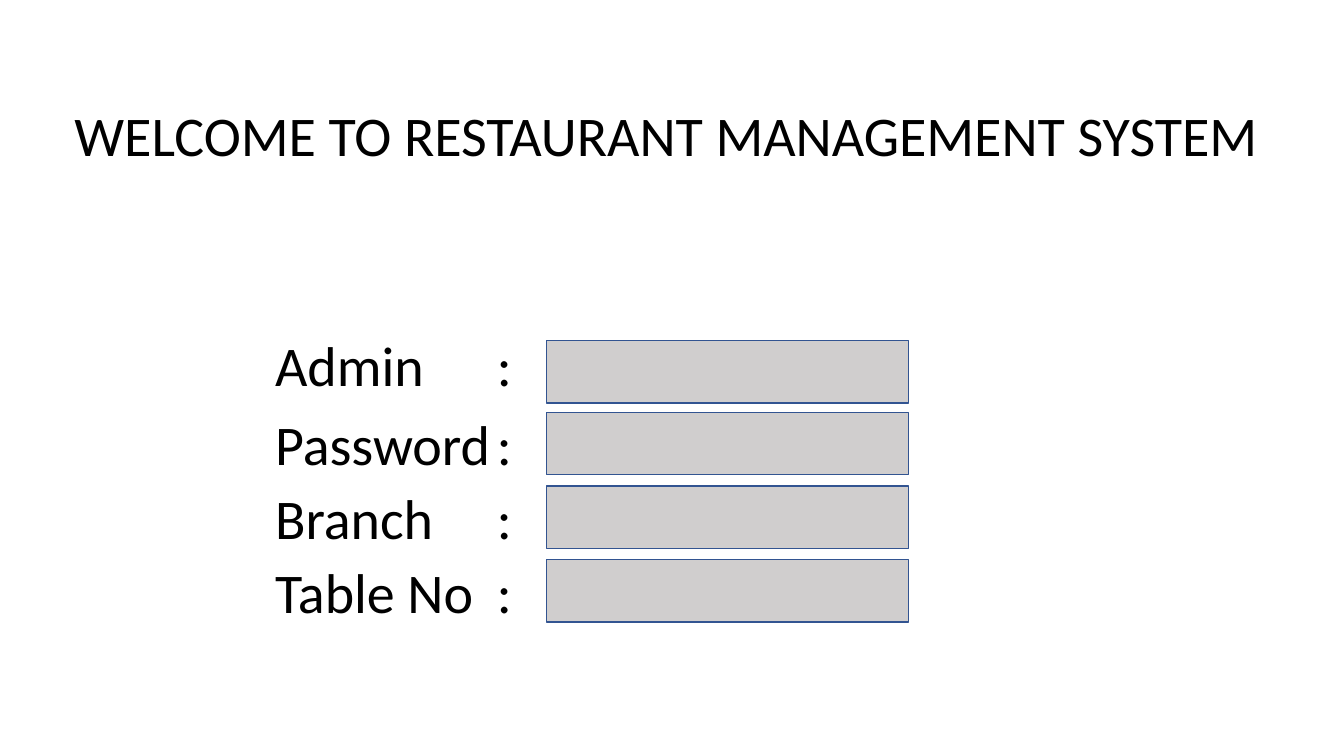
from dataclasses import dataclass

from lxml import etree
from pptx import Presentation
from pptx.dml.color import RGBColor
from pptx.enum.shapes import MSO_SHAPE
from pptx.enum.text import MSO_AUTO_SIZE
from pptx.oxml.ns import qn
from pptx.util import Pt

RECT = MSO_SHAPE.RECTANGLE
GROW = MSO_AUTO_SIZE.SHAPE_TO_FIT_TEXT
PX = 9144  # EMU per px, 100 px to the inch


@dataclass(frozen=True)
class Theme:
    font: str = "Calibri"
    size: int = 40
    line_width: int = 1
    text: RGBColor = RGBColor(0x00, 0x00, 0x00)
    field: RGBColor = RGBColor(0xD0, 0xCE, 0xCE)
    border: RGBColor = RGBColor(0x32, 0x54, 0x91)


class SlideBuilder:
    def __init__(self, slide, theme):
        self.slide = slide
        self.theme = theme

    def text(self, x, y, w, h, text, tab=None):
        sp = self.slide.shapes.add_textbox(x * PX, y * PX, w * PX, h * PX)
        tf = sp.text_frame
        tf.word_wrap = True
        tf.auto_size = GROW
        p = tf.paragraphs[0]
        if tab:
            tabs = etree.SubElement(p._p.get_or_add_pPr(), qn("a:tabLst"))
            etree.SubElement(tabs, qn("a:tab"), pos=str(tab * PX), algn="l")
        r = p.add_run()
        r.text = text
        font_format = {"name": self.theme.font, "size": Pt(self.theme.size)}
        for name, value in font_format.items():
            setattr(r.font, name, value)
        r.font.color.rgb = self.theme.text

    def field(self, x, y, w, h):
        sp = self.slide.shapes.add_shape(RECT, x * PX, y * PX, w * PX, h * PX)
        sp.shadow.inherit = False
        sp.fill.solid()
        sp.fill.fore_color.rgb = self.theme.field
        sp.line.color.rgb = self.theme.border
        sp.line.width = Pt(self.theme.line_width)


def main():
    prs = Presentation()
    prs.slide_width, prs.slide_height = 1333 * PX, 750 * PX
    slide = prs.slides.add_slide(prs.slide_layouts[6])
    builder = SlideBuilder(slide, Theme())

    # Heading
    builder.text(64, 95, 1234, 77, "WELCOME TO RESTAURANT MANAGEMENT SYSTEM")

    # Login form: label, label top, field top
    rows = [
        ("Admin", 323, 338),
        ("Password", 401, 409),
        ("Branch", 475, 482),
        ("Table No", 548, 555),
    ]
    for label, label_top, field_top in rows:
        builder.text(263, label_top, 295, 77, f"{label}\t:", tab=220)
        builder.field(542, field_top, 359, 62)

    prs.save("out.pptx")


if __name__ == "__main__":
    main()
